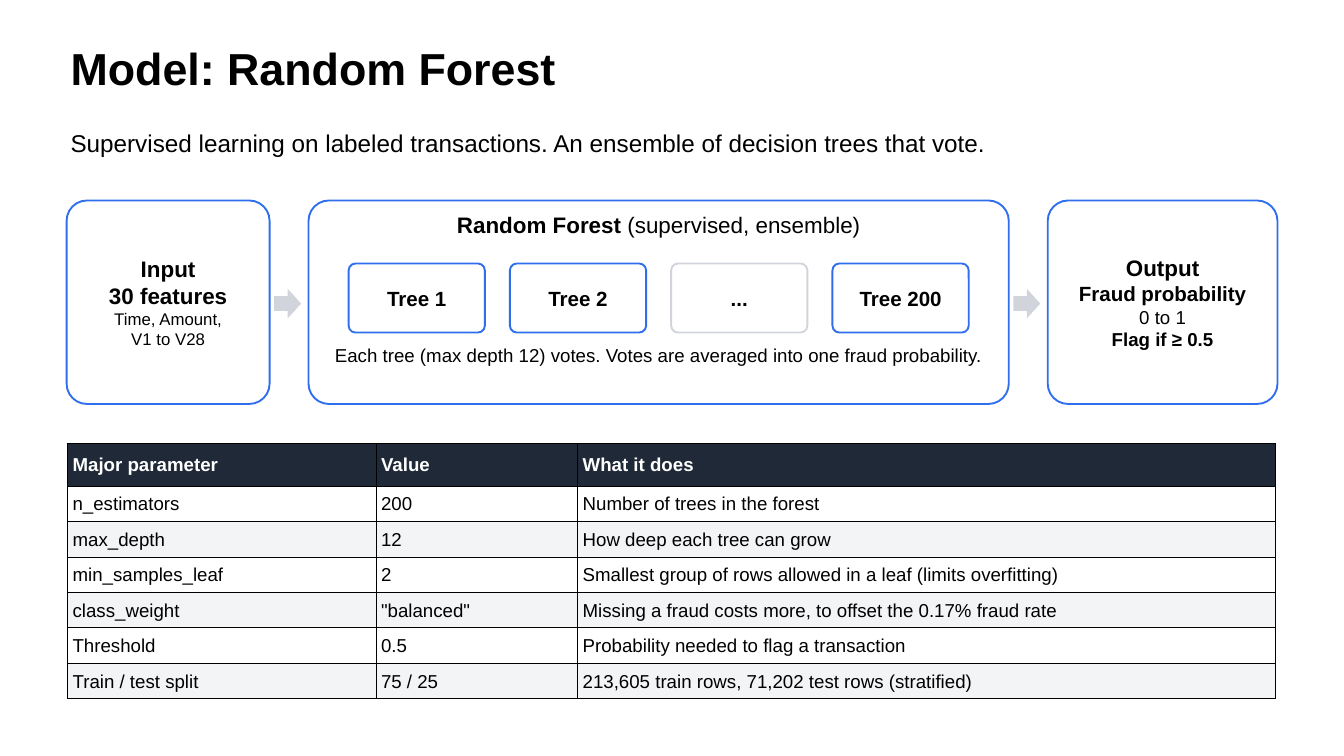
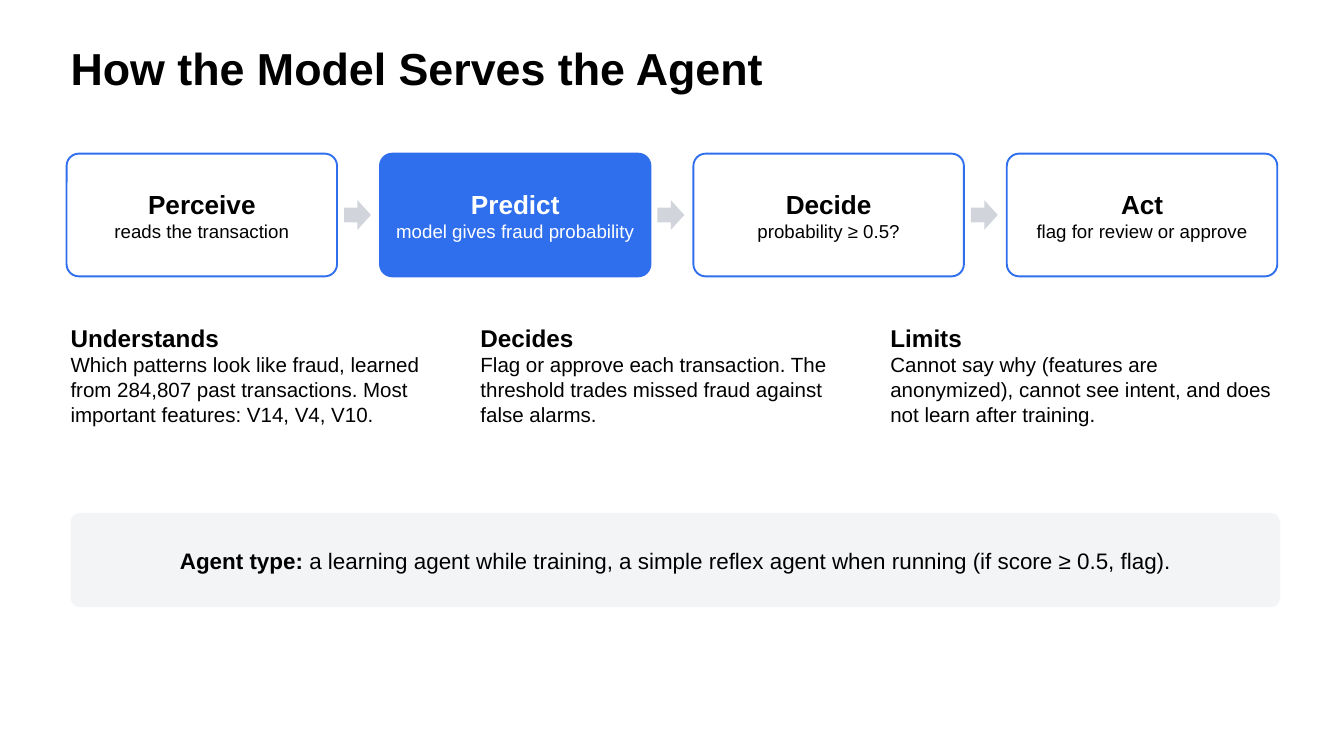
from dataclasses import dataclass

from lxml import etree
from pptx import Presentation
from pptx.dml.color import RGBColor
from pptx.enum import shapes, text
from pptx.oxml import ns
from pptx.util import Pt

BOX = shapes.MSO_SHAPE.ROUNDED_RECTANGLE
ARROW = shapes.MSO_SHAPE.RIGHT_ARROW
LEFT, CENTER = text.PP_ALIGN.LEFT, text.PP_ALIGN.CENTER
TOP, MIDDLE = text.MSO_ANCHOR.TOP, text.MSO_ANCHOR.MIDDLE


@dataclass(frozen=True)
class Theme:
    font: str = "Arial"
    ink: str = "000000"
    white: str = "FFFFFF"
    blue: str = "2F6FED"
    gray: str = "D1D5DB"
    pale: str = "F3F4F6"
    navy: str = "1F2937"
    title: int = 48
    step: int = 28
    lead: int = 26
    head: int = 24
    body: int = 22
    note: int = 20
    small: int = 18
    leading: float = 1.2
    corner: float = 0.1
    margin: float = 75.6
    width: float = 1288.8
    edge: float = 71.35  # left side of the card rows


def assign(item, values):
    for name, value in values.items():
        setattr(item, name, value)


def color(code):
    return RGBColor.from_string(code)


class Deck:
    def __init__(self, theme):
        self.theme = theme
        self.prs = Presentation()
        assign(self.prs, {"slide_width": Pt(1440), "slide_height": Pt(810)})
        self.slide = None

    def start(self, title):
        """Add a slide and set its title."""
        t = self.theme
        self.slide = self.prs.slides.add_slide(self.prs.slide_layouts[5])
        shape = self.slide.shapes.title
        assign(shape, {"left": Pt(t.margin), "top": Pt(44),
                       "width": Pt(t.width), "height": Pt(83.5)})
        self.place(shape.text_frame, [(t.title, (title, True))])

    def place(self, frame, lines, ink=None, align=LEFT, anchor=TOP, inset=0):
        """Set up a frame and put lines of text in it."""
        assign(frame, {"word_wrap": True, "auto_size": text.MSO_AUTO_SIZE.NONE,
                       "vertical_anchor": anchor})
        assign(frame, {f"margin_{side}": Pt(inset)
                       for side in ("left", "top", "right", "bottom")})
        self.fill(frame, lines, ink or self.theme.ink, align)

    def fill(self, frame, lines, ink, align=LEFT):
        """Add paragraphs; each line is a size followed by (words, bold) runs."""
        t = self.theme
        for i, (size, *runs) in enumerate(lines):
            para = frame.add_paragraph() if i else frame.paragraphs[0]
            assign(para, {"alignment": align, "space_before": Pt(0),
                          "line_spacing": Pt(round(size * t.leading, 1))})
            for words, bold in runs:
                run = para.add_run()
                run.text = words
                assign(run.font, {"name": t.font, "size": Pt(size), "bold": bold})
                run.font.color.rgb = color(ink)

    def label(self, area, lines, align=LEFT):
        box = self.slide.shapes.add_textbox(*map(Pt, area))
        self.place(box.text_frame, lines, align=align)

    def shape(self, kind, area, fill, line=None):
        item = self.slide.shapes.add_shape(kind, *map(Pt, area))
        item.shadow.inherit = False
        item.fill.solid()
        item.fill.fore_color.rgb = color(fill)
        if line:
            item.line.color.rgb = color(line)
            item.line.width = Pt(2)
        else:
            item.line.fill.background()
        return item

    def card(self, area, lines=(), fill=None, line=None, ink=None):
        t = self.theme
        item = self.shape(BOX, area, fill or t.white, line)
        item.adjustments[0] = t.corner
        self.place(item.text_frame, lines, ink, CENTER, MIDDLE, 4.5)

    def flow(self, top, height, gap, cards, lead, drop=0.0):
        """Draw (width, lines, active) cards in a row with arrows between.

        lead is the space before an arrow, drop its offset below the middle.
        """
        t = self.theme
        left = t.edge
        for i, (width, lines, active) in enumerate(cards):
            if i:
                self.shape(ARROW, (left - gap + lead, top + height / 2 - 15.85 + drop,
                                   28.8, 31.7), t.gray)
            self.card((left, top, width, height), lines,
                      t.blue if active else t.white, t.blue,
                      t.white if active else t.ink)
            left += width + gap

    def table(self, left, top, widths, heights, rows):
        t = self.theme
        frame = self.slide.shapes.add_table(
            len(rows), len(widths), Pt(left), Pt(top), Pt(sum(widths)), Pt(sum(heights)))
        grid = frame.table
        grid.horz_banding = False
        for col, width in zip(grid.columns, widths):
            col.width = Pt(width)
        for i, (row, height, words) in enumerate(zip(grid.rows, heights, rows)):
            row.height = Pt(height)
            back = t.navy if i == 0 else t.white if i % 2 else t.pale
            for cell, word in zip(row.cells, words):
                assign(cell, {"vertical_anchor": MIDDLE, "margin_left": Pt(5.76),
                              "margin_right": Pt(5.76), "margin_top": Pt(5.76),
                              "margin_bottom": Pt(5.76)})
                self.border(cell)
                cell.fill.solid()
                cell.fill.fore_color.rgb = color(back)
                self.fill(cell.text_frame, [(t.note, (word, i == 0))],
                          t.ink if i else t.white)

    def border(self, cell):
        props = cell._tc.get_or_add_tcPr()
        for side in "LRTB":
            line = etree.SubElement(props, ns.qn(f"a:ln{side}"), w=str(Pt(0.37)))
            solid = etree.SubElement(line, ns.qn("a:solidFill"))
            etree.SubElement(solid, ns.qn("a:srgbClr"), val=self.theme.ink)


PARAMS = [
    ("Major parameter", "Value", "What it does"),
    ("n_estimators", "200", "Number of trees in the forest"),
    ("max_depth", "12", "How deep each tree can grow"),
    ("min_samples_leaf", "2",
     "Smallest group of rows allowed in a leaf (limits overfitting)"),
    ("class_weight", '"balanced"',
     "Missing a fraud costs more, to offset the 0.17% fraud rate"),
    ("Threshold", "0.5", "Probability needed to flag a transaction"),
    ("Train / test split", "75 / 25",
     "213,605 train rows, 71,202 test rows (stratified)"),
]
STEPS = [
    ("Perceive", "reads the transaction"),
    ("Predict", "model gives fraud probability"),
    ("Decide", "probability ≥ 0.5?"),
    ("Act", "flag for review or approve"),
]
TRAITS = [
    ("Understands", "Which patterns look like fraud, learned from 284,807 past "
     "transactions. Most important features: V14, V4, V10."),
    ("Decides", "Flag or approve each transaction. The threshold trades missed "
     "fraud against false alarms."),
    ("Limits", "Cannot say why (features are anonymized), cannot see intent, "
     "and does not learn after training."),
]


def forest(deck):
    t = deck.theme
    deck.start("Model: Random Forest")
    deck.label((t.margin, 137.5, t.width, 54.7), [
        (t.lead, ("Supervised learning on labeled transactions. "
                  "An ensemble of decision trees that vote.", False))])
    source = [(t.head, ("Input", True)), (t.head, ("30 features", True)),
              (t.small, ("Time, Amount,", False)), (t.small, ("V1 to V28", False))]
    result = [(t.head, ("Output", True)), (t.body, ("Fraud probability", True)),
              (t.note, ("0 to 1", False)), (t.note, ("Flag if ≥ 0.5", True))]
    deck.flow(214.8, 218, 41.7, [(217.5, source, False), (750.3, [], False),
                                 (246.2, result, False)], lead=5, drop=1.5)
    deck.label((334.8, 226, 741.6, 46.8), [
        (t.head, ("Random Forest", True), (" (supervised, ensemble)", False))], CENTER)
    for i, name in enumerate(("Tree 1", "Tree 2", "...", "Tree 200")):
        deck.card((373.5 + i * 172.8, 282.3, 146, 74), [(t.body, (name, True))],
                  line=t.gray if name == "..." else t.blue)
    deck.label((334.8, 368.6, 741.6, 54), [
        (t.note, ("Each tree (max depth 12) votes. Votes are averaged into "
                  "one fraud probability.", False))], CENTER)
    deck.table(72, 475.2, (330.5, 216, 747.4), [45.3] + [38] * 6, PARAMS)


def agent(deck):
    t = deck.theme
    deck.start("How the Model Serves the Agent")
    cards = [(289.8, [(t.step, (name, True)), (t.note, (does, False))],
              name == "Predict") for name, does in STEPS]
    deck.flow(164.6, 131.5, 46, cards, lead=7.5)
    for i, (name, words) in enumerate(TRAITS):
        deck.label((t.margin + i * 439.2, 346.3, 410.4, 285), [
            (t.lead, (name, True)), (t.body, (words, False))])
    deck.card((t.margin, 549.6, 1296, 101), [
        (t.head, ("Agent type: ", True),
         ("a learning agent while training, a simple reflex agent when running "
          "(if score ≥ 0.5, flag).", False))], fill=t.pale)


def main():
    deck = Deck(Theme())
    forest(deck)
    agent(deck)
    deck.prs.save("out.pptx")


if __name__ == "__main__":
    main()
